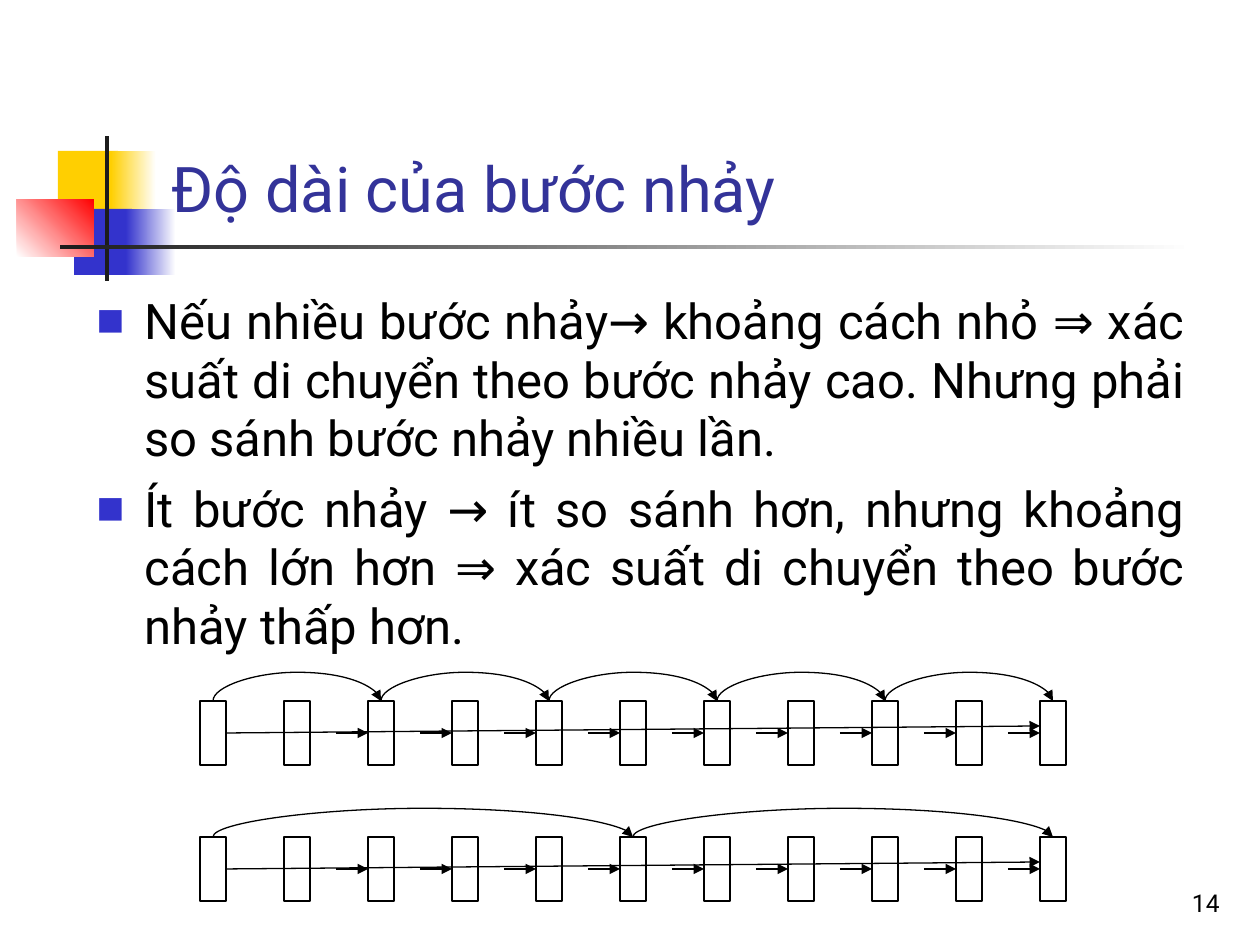
from dataclasses import dataclass

from pptx import Presentation
from pptx import util as u
from pptx.dml.color import RGBColor
from pptx.enum import shapes, text
from pptx.oxml import ns
from lxml import etree


@dataclass(frozen=True)
class Theme:
    font: str = "Roboto"
    title: str = "333399"
    ink: str = "000000"
    bullet: str = "3333CC"
    yellow: str = "FFCF01"
    blue: str = "3333CC"
    red: str = "FF0000"
    dark: str = "1C1C1C"
    white: str = "FFFFFF"
    title_size: int = 36
    body_size: int = 28
    number_size: int = 14
    line_width: float = 0.75


THEME = Theme()
PX = u.Inches(1) // 126

TITLE = "Độ dài của bước nhảy"
BULLETS = [
    "Nếu nhiều bước nhảy→ khoảng cách nhỏ ⇒ xác suất di chuyển theo bước nhảy cao. "
    "Nhưng phải so sánh bước nhảy nhiều lần.",
    "Ít bước nhảy → ít so sánh hơn, nhưng khoảng cách lớn hơn ⇒ xác suất di chuyển "
    "theo bước nhảy thấp hơn.",
]
PAGE_NUMBER = "14"

# Left, top, width, height, first colour, last colour, angle
ORNAMENTS = [
    (58, 151, 60, 66, THEME.yellow, None, 0),
    (111, 151, 45, 66, THEME.yellow, THEME.white, 0),
    (74, 209, 58, 66, THEME.blue, None, 0),
    (126, 209, 50, 66, THEME.blue, THEME.white, 0),
    (17, 199, 77, 58, THEME.white, THEME.red, 45),
    (105, 136, 4, 145, THEME.dark, None, 0),
    (60, 245, 1134, 4, THEME.dark, THEME.white, 0),
]

# Top of each skip list and the number of nodes one skip covers
SKIP_LISTS = [(701, 2), (837, 5)]
NODES = 11
NODE_LEFT, NODE_STEP, NODE_WIDTH, NODE_HEIGHT = 200, 84, 26, 64
LINK_DROP, LINK_RISE, LINK_LENGTH = 32, 7, 32
CURVE_DEPTH = u.Emu(1588)  # a thin frame; the adjustment lifts the arc out of it
CURVE_ADJUST = -14400000


def rgb(value):
    return RGBColor.from_string(value)


def px(*lengths):
    return [u.Emu(length * PX) for length in lengths]


def add_element(parent, tag, **attributes):
    return etree.SubElement(parent, ns.qn(tag), attributes)


def place(box, left, top, width, height):
    box.left, box.top, box.width, box.height = px(left, top, width, height)


def style_font(para, size, color):
    para.font.name = THEME.font
    para.font.size = u.Pt(size)
    para.font.color.rgb = rgb(color)


def add_rectangle(page, left, top, width, height):
    box = page.shapes.add_shape(
        shapes.MSO_SHAPE.RECTANGLE, *px(left, top, width, height))
    box.shadow.inherit = False
    return box


def add_ornament(page, left, top, width, height, first, last, angle):
    box = add_rectangle(page, left, top, width, height)
    box.line.fill.background()
    if last is None:
        box.fill.solid()
        box.fill.fore_color.rgb = rgb(first)
        return
    box.fill.gradient()
    box.fill.gradient_angle = angle
    for stop, color, position in zip(box.fill.gradient_stops, (first, last), (0, 1)):
        stop.color.rgb = rgb(color)
        stop.position = position


def add_arrow(page, kind, start, end):
    arrow = page.shapes.add_connector(kind, *px(*start, *end))
    arrow.line.width = u.Pt(THEME.line_width)
    arrow.line.color.rgb = rgb(THEME.ink)
    properties = arrow.element.spPr
    add_element(properties.find(ns.qn("a:ln")), "a:tailEnd", type="triangle")
    add_element(properties, "a:effectLst")
    return arrow


def add_skip(page, start, end, top):
    """Draw an arc over the nodes as a quarter-turned curved connector."""
    arrow = add_arrow(page, shapes.MSO_CONNECTOR.CURVE, (start, top), (end, top))
    span, middle = end - start, (start + end) / 2
    arrow.left = u.Emu(int(middle * PX - CURVE_DEPTH / 2))
    arrow.top = u.Emu(int((top - span / 2) * PX))
    arrow.width, arrow.height = CURVE_DEPTH, u.Emu(span * PX)
    properties = arrow.element.spPr
    frame = properties.find(ns.qn("a:xfrm"))
    frame.set("rot", "5400000")
    frame.set("flipV", "1")
    geometry = properties.find(ns.qn("a:prstGeom"))
    guides = geometry.find(ns.qn("a:avLst"))
    if guides is None:
        guides = add_element(geometry, "a:avLst")
    add_element(guides, "a:gd", name="adj1", fmla=f"val {CURVE_ADJUST}")


def add_skip_list(page, top, skip):
    lefts = [NODE_LEFT + NODE_STEP * index for index in range(NODES)]
    link = top + LINK_DROP
    straight = shapes.MSO_CONNECTOR.STRAIGHT
    for left in lefts:
        node = add_rectangle(page, left, top, NODE_WIDTH, NODE_HEIGHT)
        node.fill.background()
        node.line.color.rgb = rgb(THEME.ink)
        node.line.width = u.Pt(THEME.line_width)
    add_arrow(page, straight, (lefts[0] + NODE_WIDTH, link),
              (lefts[-1], link - LINK_RISE))
    for left in lefts[2:]:
        add_arrow(page, straight, (left - LINK_LENGTH, link), (left, link))
    centres = [left + NODE_WIDTH // 2 for left in lefts][::skip]
    for start, end in zip(centres, centres[1:]):
        add_skip(page, start, end, top)


def fill_title(box):
    place(box, 159, 29, 1074, 202)
    frame = box.text_frame
    frame.text = TITLE
    frame.auto_size = text.MSO_AUTO_SIZE.NONE
    frame.vertical_anchor = text.MSO_ANCHOR.BOTTOM
    para = frame.paragraphs[0]
    para.alignment = text.PP_ALIGN.LEFT
    style_font(para, THEME.title_size, THEME.title)


def fill_body(box):
    place(box, 84, 284, 1113, 399)
    frame = box.text_frame
    frame.text = "\n".join(BULLETS)
    frame.auto_size = text.MSO_AUTO_SIZE.NONE
    indent = u.Inches(0.38)
    for index, para in enumerate(frame.paragraphs):
        properties = para._p.get_or_add_pPr()
        properties.set("marL", str(indent))
        properties.set("indent", str(-indent))
        add_element(add_element(properties, "a:buClr"), "a:srgbClr", val=THEME.bullet)
        add_element(properties, "a:buSzPct", val="60000")
        add_element(properties, "a:buFont", typeface=THEME.font)
        add_element(properties, "a:buChar", char="■")
        para.alignment = text.PP_ALIGN.JUSTIFY
        para.space_before = u.Pt(6.5 if index else 0)
        style_font(para, THEME.body_size, THEME.ink)


def add_page_number(page):
    box = page.shapes.add_textbox(*px(970, 861, 262, 63))
    frame = box.text_frame
    frame.word_wrap = True
    frame.text = PAGE_NUMBER
    frame.vertical_anchor = text.MSO_ANCHOR.BOTTOM
    para = frame.paragraphs[0]
    para.alignment = text.PP_ALIGN.RIGHT
    style_font(para, THEME.number_size, THEME.ink)


def main():
    deck = Presentation()
    deck.slide_width, deck.slide_height = px(1260, 945)
    page = deck.slides.add_slide(deck.slide_layouts[1])
    for ornament in ORNAMENTS:
        add_ornament(page, *ornament)
    fill_title(page.shapes.title)
    fill_body(page.placeholders[1])
    add_page_number(page)
    for top, skip in SKIP_LISTS:
        add_skip_list(page, top, skip)
    deck.save("out.pptx")


if __name__ == "__main__":
    main()
